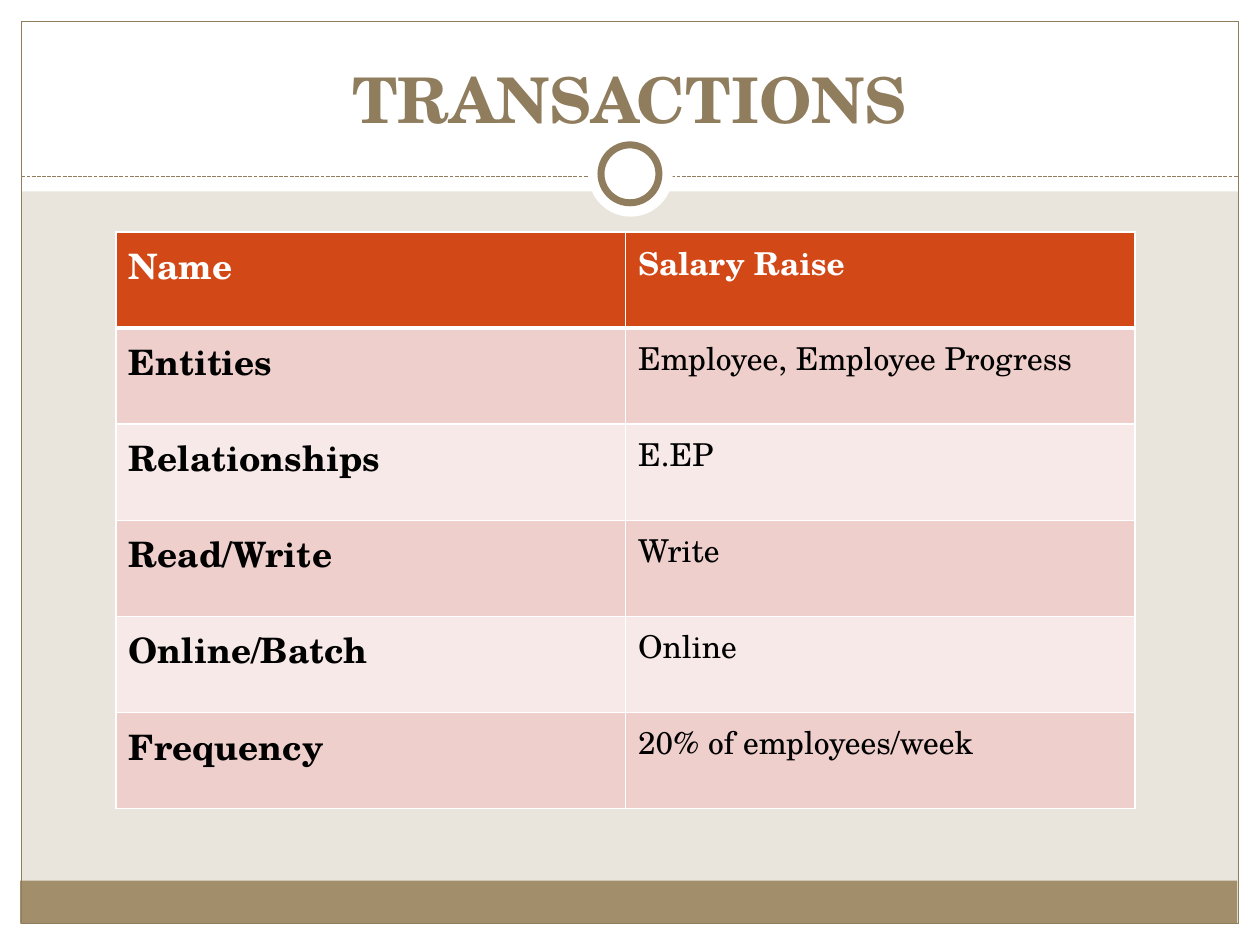
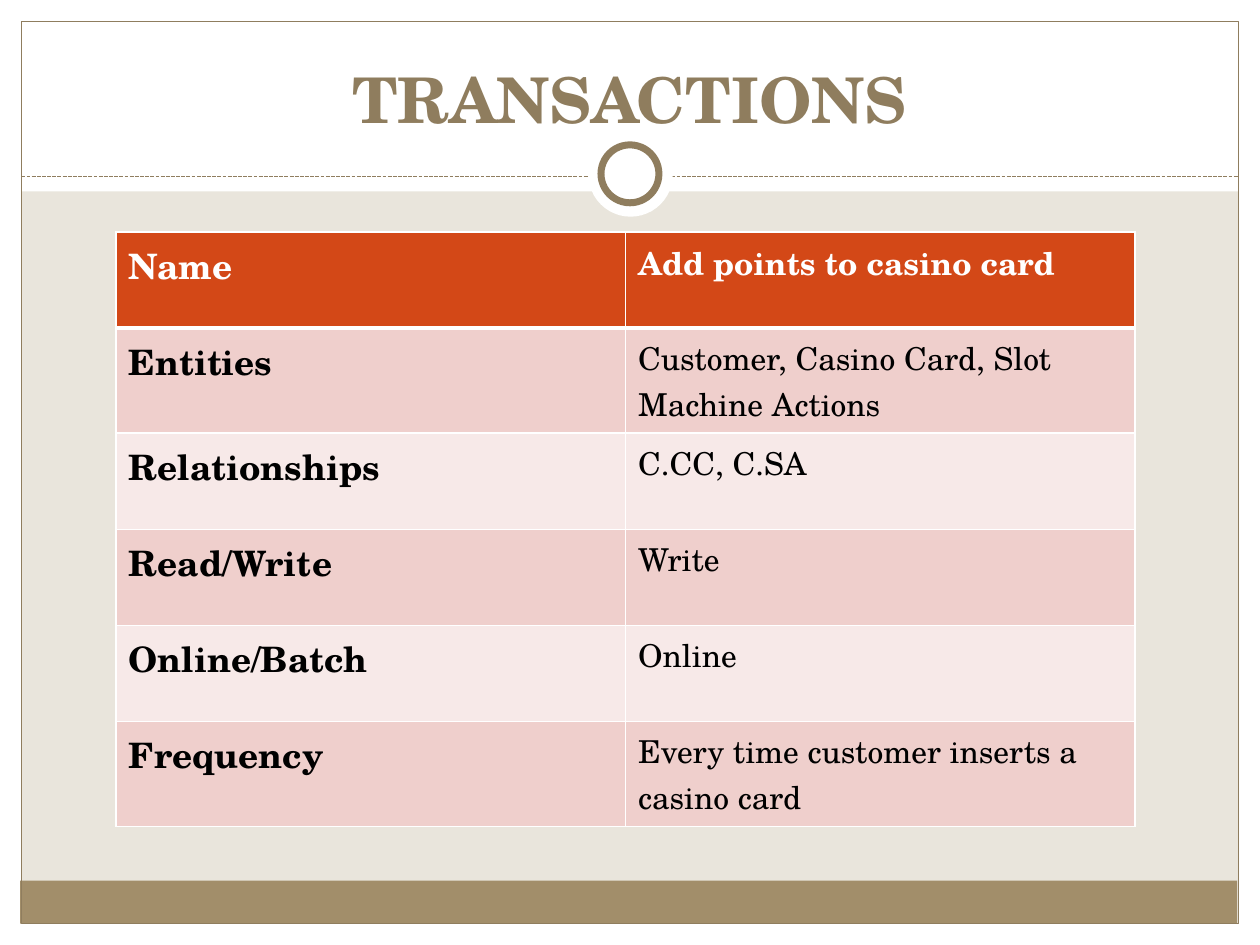
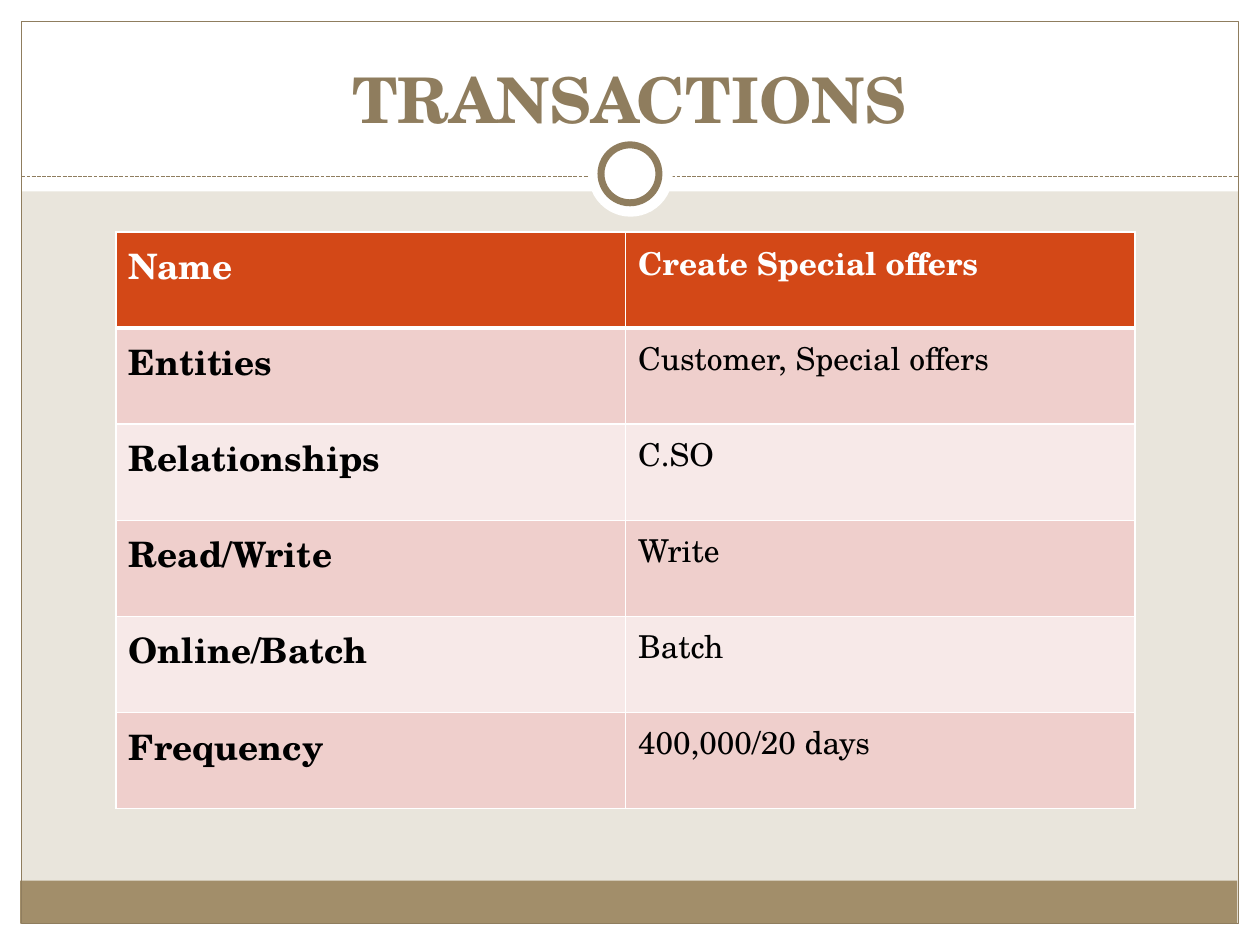
import pptx
import pptx.dml.color
import pptx.enum.dml
import pptx.enum.shapes
import pptx.enum.text
import pptx.oxml
import pptx.oxml.ns
import pptx.util

Inches = pptx.util.Inches
Pt = pptx.util.Pt
SHAPE = pptx.enum.shapes.MSO_SHAPE

FONT = "TeX Gyre Schola"
COLORS = {
    "background": "E9E5DC",
    "white": "FFFFFF",
    "black": "000000",
    "band": "A28E6A",
    "accent": "8F7D5E",
    "header": "D34817",
    "row_dark": "EFCFCC",
    "row_light": "F7E9E8",
}
WIDTH, HEIGHT, MARGIN = 10, 7.5, 0.17
LABELS = ["Name", "Entities", "Relationships", "Read/Write", "Online/Batch", "Frequency"]
TRANSACTIONS = [
    ["Salary Raise", "Employee, Employee Progress", "E.EP", "Write", "Online",
     "20% of employees/week"],
    ["Add points to casino card", "Customer, Casino Card, Slot Machine Actions",
     "C.CC, C.SA", "Write", "Online", "Every time customer inserts a casino card"],
    ["Create Special offers", "Customer, Special offers", "C.SO", "Write", "Batch",
     "400,000/20 days"],
]


def rgb(name):
    return pptx.dml.color.RGBColor.from_string(COLORS[name])


def set_font(p, size, color, bold):
    p.font.name = FONT
    p.font.size = Pt(size)
    p.font.bold = bold
    p.font.color.rgb = rgb(color)


def add_box(slide, kind, box, fill=None, line=None, weight=0.75):
    sp = slide.shapes.add_shape(kind, *map(Inches, box))
    sp.shadow.inherit = False
    if fill:
        sp.fill.solid()
        sp.fill.fore_color.rgb = rgb(fill)
    else:
        sp.fill.background()
    if line:
        sp.line.color.rgb = rgb(line)
        sp.line.width = Pt(weight)
    else:
        sp.line.fill.background()


def add_dashed_line(slide, y):
    line = slide.shapes.add_connector(
        pptx.enum.shapes.MSO_CONNECTOR.STRAIGHT,
        Inches(MARGIN), Inches(y), Inches(WIDTH - MARGIN), Inches(y))
    line.line.color.rgb = rgb("accent")
    line.line.width = Pt(0.75)
    line.line.dash_style = pptx.enum.dml.MSO_LINE.SQUARE_DOT
    line._element.spPr.append(pptx.oxml.parse_xml(
        f'<a:effectLst {pptx.oxml.ns.nsdecls("a")}/>'))


def add_frame(slide):
    inner_width = WIDTH - 2 * MARGIN
    for box in [
        (0, HEIGHT - MARGIN, WIDTH, MARGIN),
        (0, 0, WIDTH, 1.52),
        (0, 0, MARGIN, HEIGHT),
        (WIDTH - MARGIN, 0, MARGIN, HEIGHT),
    ]:
        add_box(slide, SHAPE.RECTANGLE, box, "white")
    add_box(slide, SHAPE.RECTANGLE, (0.16, 6.99, inner_width, 0.34), "band")
    add_box(slide, SHAPE.RECTANGLE,
            (MARGIN, MARGIN, inner_width, HEIGHT - 2 * MARGIN), line="accent")
    add_dashed_line(slide, 1.4)
    add_box(slide, SHAPE.OVAL, (4.67, 1.05, 0.67, 0.67), "white")
    add_box(slide, SHAPE.OVAL, (4.77, 1.15, 0.46, 0.46), "white", "accent", 4)


def set_title(slide, text):
    title = slide.shapes.title
    slide.shapes._spTree.append(title._element)
    title.left, title.top, title.width, title.height = map(Inches, (0.33, 0.25, 9.33, 0.83))
    tf = title.text_frame
    tf.text = text
    tf.word_wrap = True
    tf.auto_size = pptx.enum.text.MSO_AUTO_SIZE.NONE
    tf.margin_bottom = 0
    tf.vertical_anchor = pptx.enum.text.MSO_ANCHOR.BOTTOM
    p = tf.paragraphs[0]
    p.alignment = pptx.enum.text.PP_ALIGN.CENTER
    set_font(p, 36, "accent", True)


def set_borders(cell, bottom):
    tcPr = cell._tc.get_or_add_tcPr()
    for side, weight in {"L": 1, "R": 1, "T": 1, "B": bottom}.items():
        tcPr.append(pptx.oxml.parse_xml(
            f'<a:ln{side} {pptx.oxml.ns.nsdecls("a")} w="{Pt(weight)}"><a:solidFill>'
            f'<a:srgbClr val="{COLORS["white"]}"/></a:solidFill></a:ln{side}>'))


def add_transaction_table(slide, values):
    table = slide.shapes.add_table(
        len(LABELS), 2, *map(Inches, (0.92, 1.84, 8.09, 4.58))).table
    for row, texts in enumerate(zip(LABELS, values)):
        is_header = row == 0
        fill = "header" if is_header else ("row_dark" if row % 2 else "row_light")
        for col, text in enumerate(texts):
            cell = table.cell(row, col)
            set_borders(cell, 3 if is_header else 1)
            cell.fill.solid()
            cell.fill.fore_color.rgb = rgb(fill)
            cell.text = text
            set_font(cell.text_frame.paragraphs[0], 18 if col else 20,
                     "white" if is_header else "black", is_header or col == 0)


def main():
    prs = pptx.Presentation()
    prs.slide_width, prs.slide_height = Inches(WIDTH), Inches(HEIGHT)
    background = prs.slide_master.background.fill
    background.solid()
    background.fore_color.rgb = rgb("background")
    for values in TRANSACTIONS:
        slide = prs.slides.add_slide(prs.slide_layouts[5])
        add_frame(slide)
        set_title(slide, "TRANSACTIONS")
        add_transaction_table(slide, values)
    prs.save("out.pptx")


if __name__ == "__main__":
    main()
